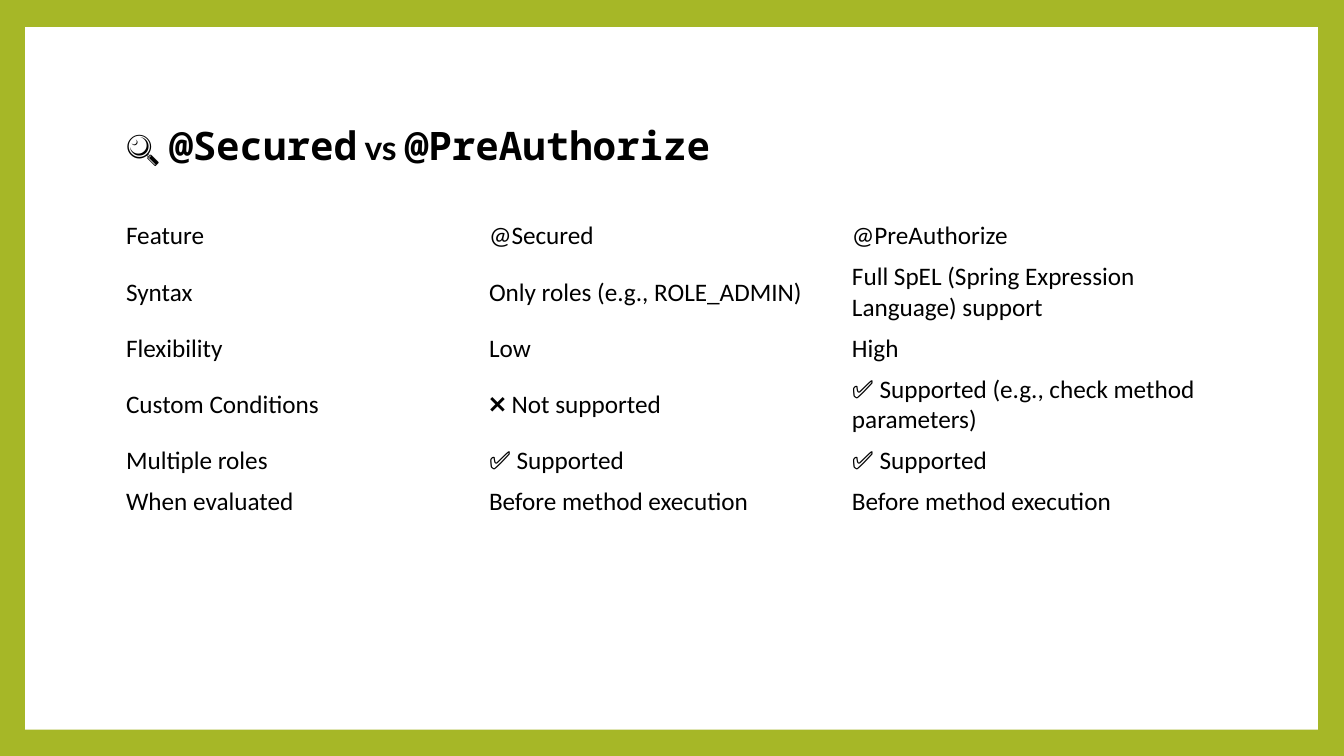
import pptx
import pptx.util
import pptx.dml.color
import pptx.enum.shapes
import pptx.enum.text
from dataclasses import dataclass
from pptx.util import Inches


@dataclass(frozen=True)
class Theme:
    background: str = "A6B727"
    panel: str = "FFFFFF"
    text: str = "000000"
    body_font: str = "Calibri"
    code_font: str = "Noto Sans Mono"
    icon_font: str = "Arial"
    title_font: str = "Lato"
    body_size: int = 18
    title_size: int = 24
    code_size: int = 28


def color(value):
    return pptx.dml.color.RGBColor.from_string(value)


def add_text(paragraph, text, *, font, size, fill, bold=False):
    run = paragraph.add_run()
    run.text = text
    run.font.name = font
    run.font.size = pptx.util.Pt(size)
    run.font.bold = bold
    run.font.color.rgb = color(fill)


class SlideBuilder:
    def __init__(self, presentation, theme):
        self.theme = theme
        self.slide = presentation.slides.add_slide(presentation.slide_layouts[5])
        background = self.slide.background.fill
        background.solid()
        background.fore_color.rgb = color(theme.background)

    def panel(self, left, top, width, height):
        shape = self.slide.shapes.add_shape(
            pptx.enum.shapes.MSO_SHAPE.RECTANGLE,
            Inches(left), Inches(top), Inches(width), Inches(height))
        shape.shadow.inherit = False
        shape.fill.solid()
        shape.fill.fore_color.rgb = color(self.theme.panel)
        shape.line.fill.background()

    def table(self, left, top, column_width, row_heights, rows):
        column_count = len(rows[0])
        shape = self.slide.shapes.add_table(
            len(rows), column_count, Inches(left), Inches(top),
            Inches(column_width * column_count), Inches(sum(row_heights)))
        table = shape.table
        table.first_row = False
        table.horz_banding = False
        for column in table.columns:
            column.width = Inches(column_width)
        for row, height, texts in zip(table.rows, row_heights, rows):
            row.height = Inches(height)
            for cell, text in zip(row.cells, texts):
                cell.fill.background()
                cell.vertical_anchor = pptx.enum.text.MSO_ANCHOR.MIDDLE
                add_text(cell.text_frame.paragraphs[0], text,
                         font=self.theme.body_font, size=self.theme.body_size,
                         fill=self.theme.text)

    def title(self, left, top, width, height, pieces):
        shape = self.slide.shapes.title
        shape.left, shape.top = Inches(left), Inches(top)
        shape.width, shape.height = Inches(width), Inches(height)
        frame = shape.text_frame
        frame.word_wrap = True
        frame.auto_size = pptx.enum.text.MSO_AUTO_SIZE.NONE
        frame.vertical_anchor = pptx.enum.text.MSO_ANCHOR.TOP
        paragraph = frame.paragraphs[0]
        paragraph.alignment = pptx.enum.text.PP_ALIGN.LEFT
        for text, font, size in pieces:
            add_text(paragraph, text, font=font, size=size,
                     fill=self.theme.text, bold=True)
        self.slide.shapes._spTree.append(shape._element)


FEATURES = [
    ("Feature", "@Secured", "@PreAuthorize"),
    ("Syntax", "Only roles (e.g., ROLE_ADMIN)",
     "Full SpEL (Spring Expression Language) support"),
    ("Flexibility", "Low", "High"),
    ("Custom Conditions", "❌ Not supported",
     "✅ Supported (e.g., check method parameters)"),
    ("Multiple roles", "✅ Supported", "✅ Supported"),
    ("When evaluated", "Before method execution", "Before method execution"),
]


def main():
    presentation = pptx.Presentation()
    presentation.slide_width = Inches(13.33)
    presentation.slide_height = Inches(7.5)
    theme = Theme()
    builder = SlideBuilder(presentation, theme)
    builder.panel(0.25, 0.27, 12.82, 6.97)
    builder.table(1.15, 2.14, 3.6, [0.4, 0.7, 0.4, 0.7, 0.4, 0.4], FEATURES)
    builder.title(1.15, 1.15, 7.84, 1.48, [
        ("🔍 ", theme.icon_font, theme.title_size),
        ("@Secured", theme.code_font, theme.code_size),
        (" vs ", theme.title_font, theme.title_size),
        ("@PreAuthorize", theme.code_font, theme.code_size),
    ])
    presentation.save("out.pptx")


if __name__ == "__main__":
    main()
